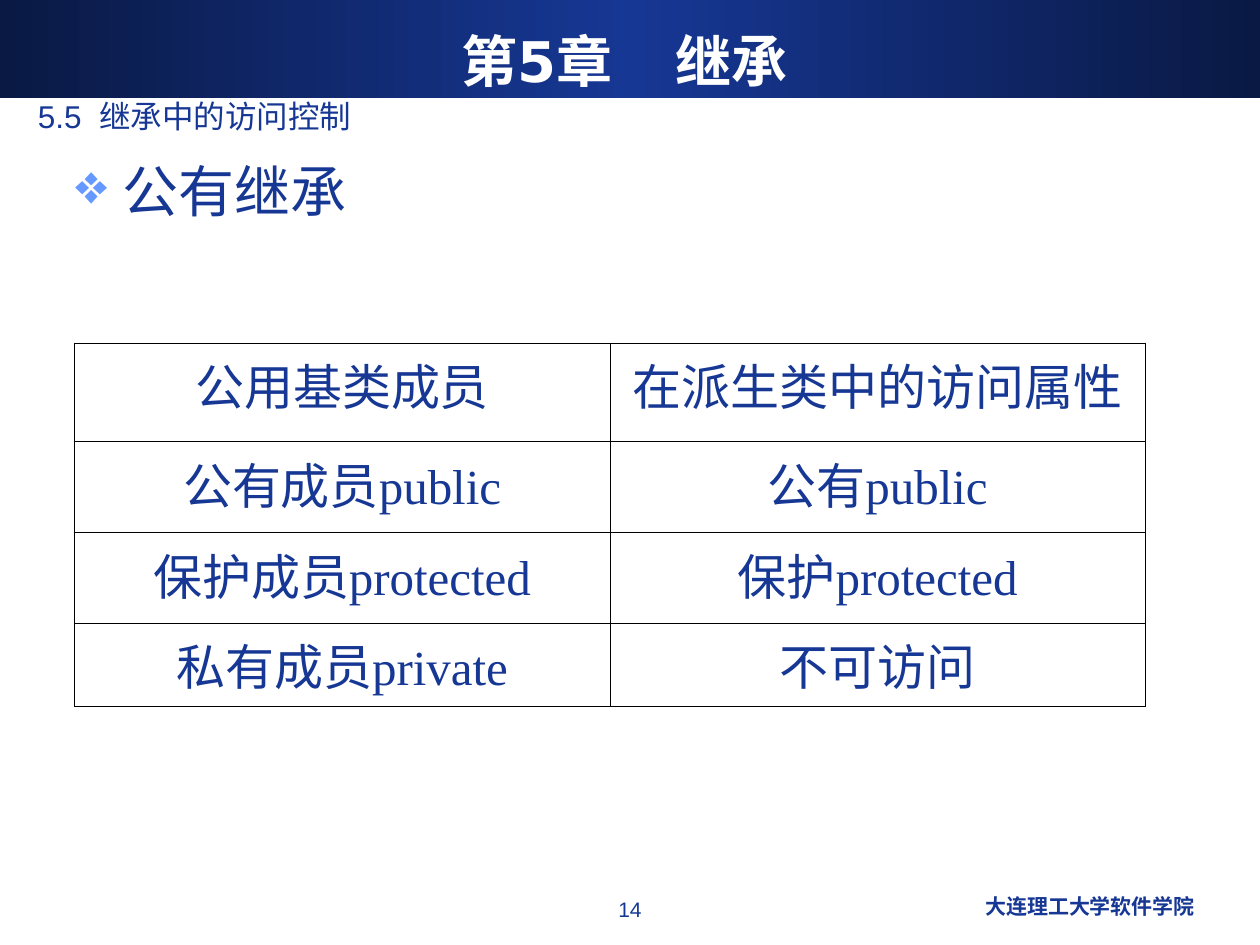
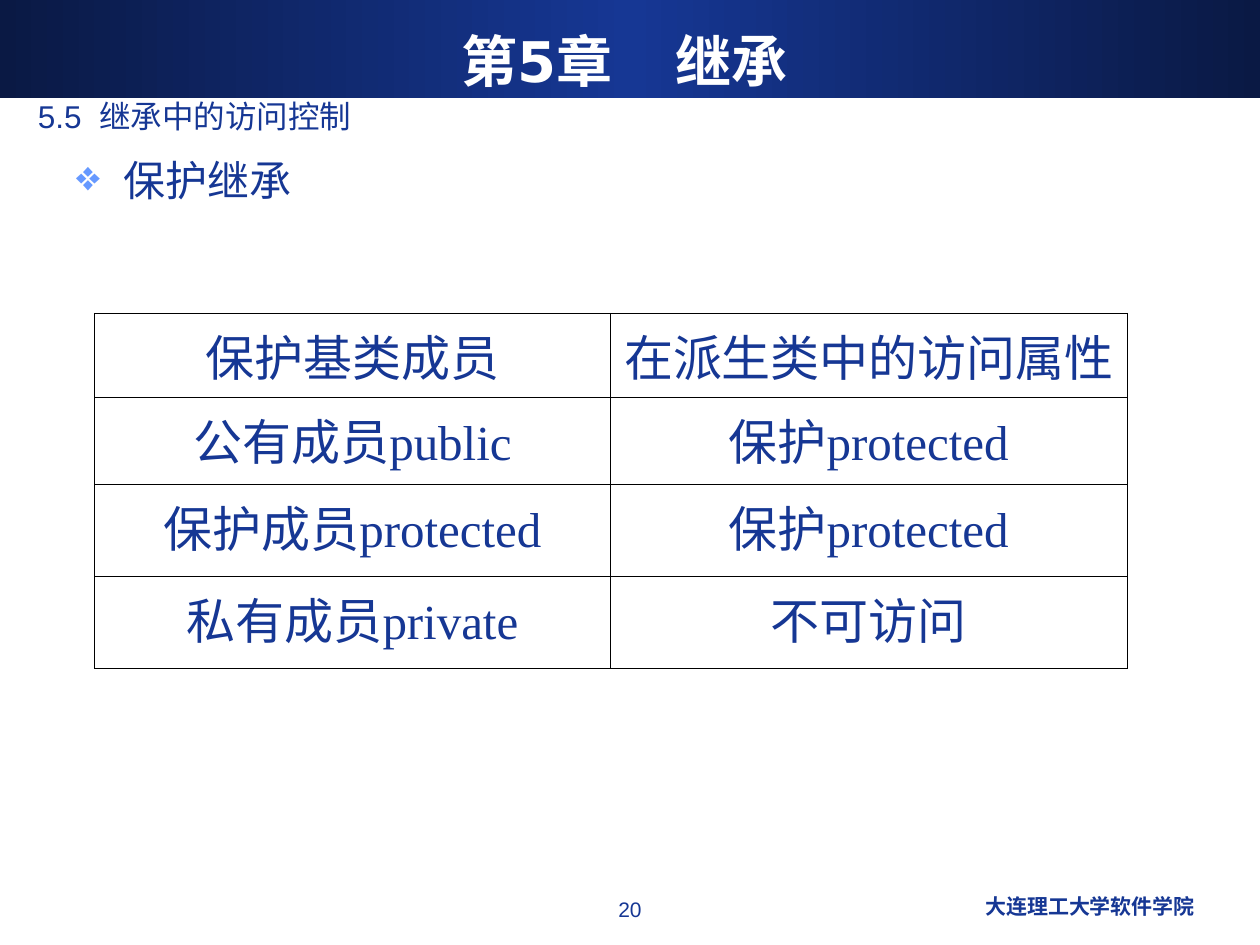
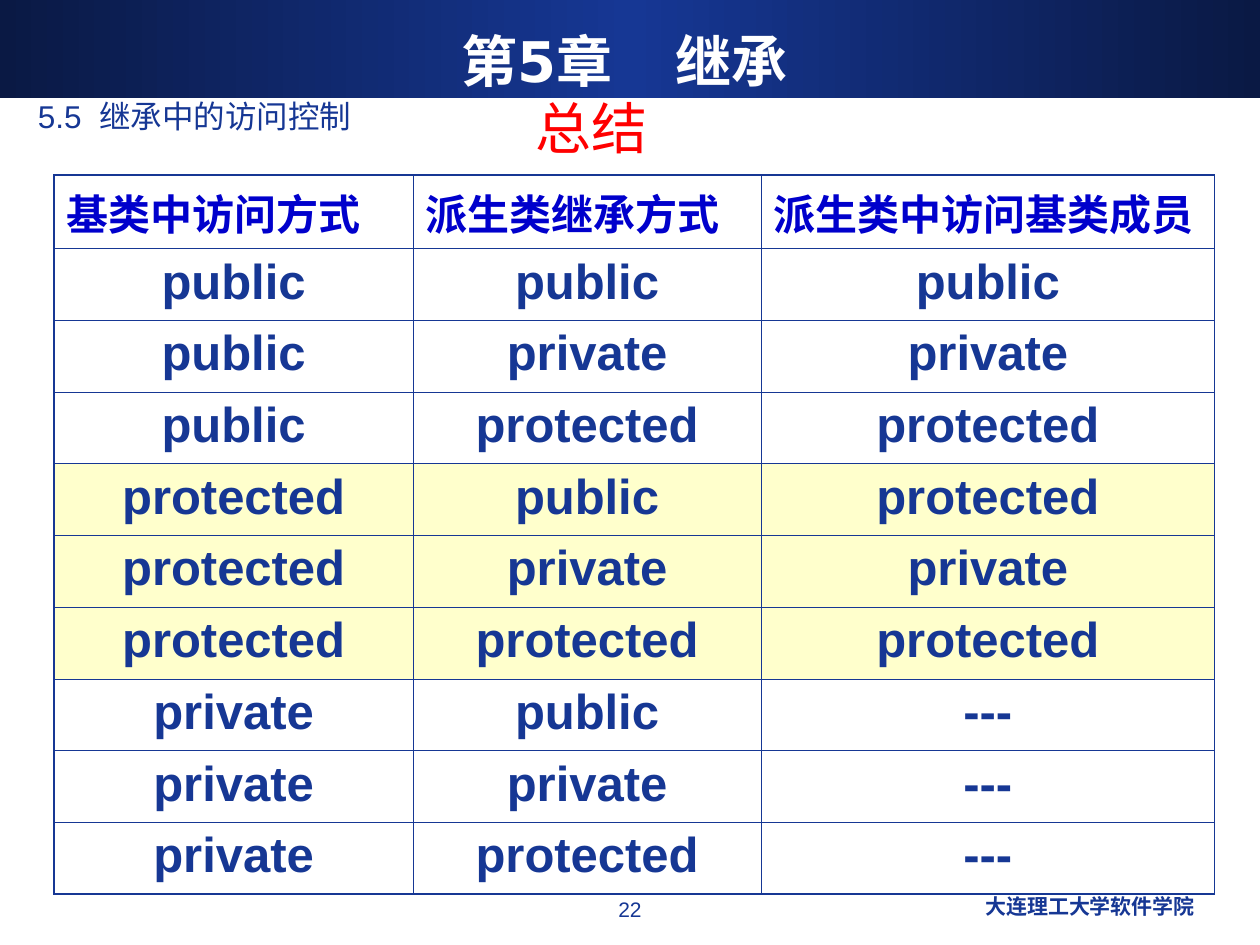
from copy import deepcopy
from dataclasses import dataclass

from lxml import etree
from pptx import Presentation
from pptx.dml.color import RGBColor
from pptx.enum import shapes, text
from pptx.oxml import ns
from pptx.util import Pt


@dataclass(frozen=True)
class Theme:
    navy: str = "163794"
    dark: str = "0A1944"
    white: str = "FFFFFF"
    black: str = "000000"
    bullet: str = "6699FF"
    heading: str = "0000CC"
    red: str = "FF0000"
    highlight: str = "FFFFCC"
    sans: str = "Arial"
    serif: str = "Times New Roman"
    display: str = "DejaVu Sans"
    chinese: str = "Noto Sans CJK JP"
    large: float = 32
    cell: float = 28
    medium: float = 24
    section: float = 18
    small: float = 12
    tight: float = 0.88
    hairline: float = 0.45
    outline: float = 1.08


THEME = Theme()
LEFT, CENTER, RIGHT = (text.PP_ALIGN.LEFT, text.PP_ALIGN.CENTER, text.PP_ALIGN.RIGHT)


@dataclass(frozen=True)
class Area:
    left: float
    top: float
    width: float
    height: float

    def lengths(self) -> tuple:
        return Pt(self.left), Pt(self.top), Pt(self.width), Pt(self.height)


@dataclass(frozen=True)
class Grid:
    left: float
    top: float
    columns: tuple
    rows: tuple
    border: str
    outer: float
    margin: float

    def area(self) -> Area:
        return Area(self.left, self.top, sum(self.columns), sum(self.rows))


@dataclass(frozen=True)
class AccessPage:
    number: int
    topic: str
    topic_area: Area
    topic_size: float
    grid: Grid
    cells: tuple


BAND = Area(0, 0, 720, 56)
TITLE = Area(24, 12, 666, 44.5)
SECTION = Area(14.5, 54.8, 666, 29.5)
NUMBER = Area(276, 509, 168, 25)
SCHOOL = Area(462, 509, 228, 25)
SUMMARY = Area(247, 54.8, 181.5, 46)

ACCESS_HEADING = "在派生类中的访问属性"
ACCESS_PAGES = (
    AccessPage(
        14, "公有继承", Area(36, 90.7, 648, 413), THEME.large,
        Grid(42.5, 196, (306, 306), (56.5, 52, 51.5, 47.5),
             THEME.black, THEME.hairline, 6),
        (("公用基类成员", ACCESS_HEADING),
         ("公有成员public", "公有public"),
         ("保护成员protected", "保护protected"),
         ("私有成员private", "不可访问")),
    ),
    AccessPage(
        20, "保护继承", Area(36.5, 88.5, 648, 413), THEME.medium,
        Grid(54, 179, (295, 295), (48, 50, 52.5, 52.5),
             THEME.black, THEME.hairline, 6),
        (("保护基类成员", ACCESS_HEADING),
         ("公有成员public", "保护protected"),
         ("保护成员protected", "保护protected"),
         ("私有成员private", "不可访问")),
    ),
)

SUMMARY_GRID = Grid(31, 100, (205, 199, 259), (42,) + (41,) * 9,
                    THEME.navy, THEME.outline, 7.2)
SUMMARY_HEADINGS = ("基类中访问方式", "派生类继承方式", "派生类中访问基类成员")
MODES = ("public", "private", "protected")


def element(parent, tag: str, **attributes: str):
    return etree.SubElement(parent, ns.qn(tag), attributes)


def add_bullet(para, indent: float) -> None:
    properties = para._p.get_or_add_pPr()
    properties.set("marL", str(Pt(indent)))
    properties.set("indent", str(-Pt(indent)))
    element(element(properties, "a:buClr"), "a:srgbClr", val=THEME.bullet)
    element(properties, "a:buChar", char="❖")


def add_text_shadow(run_properties) -> None:
    effects = etree.Element(ns.qn("a:effectLst"))
    shadow = element(effects, "a:outerShdw", dist=str(Pt(2)), dir="2700000")
    element(shadow, "a:srgbClr", val=THEME.black)
    run_properties.find(ns.qn("a:solidFill")).addnext(effects)


def write(frame, content: str, *, size: float, color: str = THEME.navy,
          font: str = THEME.sans, bold: bool = False, align=LEFT,
          spacing: float | None = None, gap: float = 0,
          bullet_indent: float = 0, shadow: bool = False) -> None:
    """Fill a frame with one paragraph; gap widens its first space, in points."""
    para = frame.paragraphs[0]
    para.alignment = align
    if bullet_indent:
        add_bullet(para, bullet_indent)
    if spacing:
        para.line_spacing = spacing
    for part in filter(None, content.partition(" ")):
        span = para.add_run()
        span.text = part
        span.font.size = Pt(size)
        span.font.bold = bold
        span.font.color.rgb = RGBColor.from_string(color)
        span.font.name = font
        properties = span._r.get_or_add_rPr()
        element(properties, "a:ea", typeface=THEME.chinese)
        if part == " ":
            properties.set("spc", str(round(gap * 100)))
        if shadow:
            add_text_shadow(properties)


def add_text(page, area: Area, content: str, *,
             anchor=text.MSO_ANCHOR.TOP, **style) -> None:
    box = page.shapes.add_textbox(*area.lengths())
    box.text_frame.word_wrap = True
    box.text_frame.vertical_anchor = anchor
    write(box.text_frame, content, **style)


def add_band(page) -> None:
    band = page.shapes.add_shape(shapes.MSO_SHAPE.RECTANGLE, *BAND.lengths())
    band.shadow.inherit = False
    band.line.fill.background()
    band.fill.gradient()
    band.fill.gradient_angle = 0
    stops = band._element.spPr.find(".//" + ns.qn("a:gsLst"))
    stops.append(deepcopy(stops[-1]))
    colors = (THEME.dark, THEME.navy, THEME.dark)
    for index, (stop, color) in enumerate(zip(band.fill.gradient_stops, colors)):
        stop.position = index / 2
        stop.color.rgb = RGBColor.from_string(color)


def add_page(deck, number: int):
    """Add a slide with the band, title, section line and footers."""
    page = deck.slides.add_slide(deck.slide_layouts[6])
    add_band(page)
    add_text(page, NUMBER, str(number), size=THEME.small, align=CENTER)
    add_text(page, TITLE, "第5章 继承", size=THEME.large, color=THEME.white,
             font=THEME.display, bold=True, align=CENTER, gap=29,
             anchor=text.MSO_ANCHOR.MIDDLE)
    add_text(page, SCHOOL, "大连理工大学软件学院", size=THEME.small, bold=True,
             align=RIGHT, spacing=THEME.tight)
    add_text(page, SECTION, "5.5 继承中的访问控制", size=THEME.section,
             spacing=THEME.tight, gap=5)
    return page


def add_border(cell, side: str, color: str, width: float) -> None:
    line = element(cell._tc.get_or_add_tcPr(), f"a:ln{side}", w=str(Pt(width)))
    element(element(line, "a:solidFill"), "a:srgbClr", val=color)


def add_grid(page, grid: Grid, cells, style_of, fill_of) -> None:
    """Draw a table; style_of and fill_of give the format of a row by index."""
    last_row, last_column = len(grid.rows) - 1, len(grid.columns) - 1
    table = page.shapes.add_table(len(grid.rows), len(grid.columns),
                                  *grid.area().lengths()).table
    table.first_row = table.horz_banding = False
    for column, width in zip(table.columns, grid.columns):
        column.width = Pt(width)
    for r, (row, height) in enumerate(zip(table.rows, grid.rows)):
        row.height = Pt(height)
        for c, cell in enumerate(row.cells):
            cell.margin_left = cell.margin_right = Pt(grid.margin)
            cell.margin_top = cell.margin_bottom = Pt(3.6)
            edges = {"L": c == 0, "R": c == last_column,
                     "T": r == 0, "B": r == last_row}
            for side, is_outer in edges.items():
                add_border(cell, side, grid.border,
                           grid.outer if is_outer else THEME.hairline)
            cell.fill.solid()
            cell.fill.fore_color.rgb = RGBColor.from_string(fill_of(r))
            write(cell.text_frame, cells[r][c], **style_of(r))


def add_access_page(deck, content: AccessPage) -> None:
    page = add_page(deck, content.number)
    add_text(page, content.topic_area, content.topic, size=content.topic_size,
             spacing=THEME.tight, bullet_indent=27)
    style = dict(size=THEME.cell, font=THEME.serif, align=CENTER)
    add_grid(page, content.grid, content.cells,
             lambda row: style, lambda row: THEME.white)


def inherited_access(base: str, mode: str) -> str:
    if base == "private":
        return "---"
    return base if mode == "public" else mode


def add_summary_page(deck) -> None:
    page = add_page(deck, 22)
    cells = [SUMMARY_HEADINGS]
    for base in ("public", "protected", "private"):
        cells += [(base, mode, inherited_access(base, mode)) for mode in MODES]
    heading = dict(size=THEME.medium, color=THEME.heading, bold=True)
    body = dict(size=THEME.cell, bold=True, align=CENTER)
    add_grid(page, SUMMARY_GRID, cells,
             lambda row: body if row else heading,
             lambda row: THEME.highlight if cells[row][0] == "protected"
             else THEME.white)
    add_text(page, SUMMARY, "总结", size=THEME.large, color=THEME.red,
             font=THEME.chinese, align=CENTER, spacing=THEME.tight, shadow=True)


def main() -> None:
    deck = Presentation()
    deck.slide_width, deck.slide_height = Pt(720), Pt(540)
    for content in ACCESS_PAGES:
        add_access_page(deck, content)
    add_summary_page(deck)
    deck.save("out.pptx")


if __name__ == "__main__":
    main()
